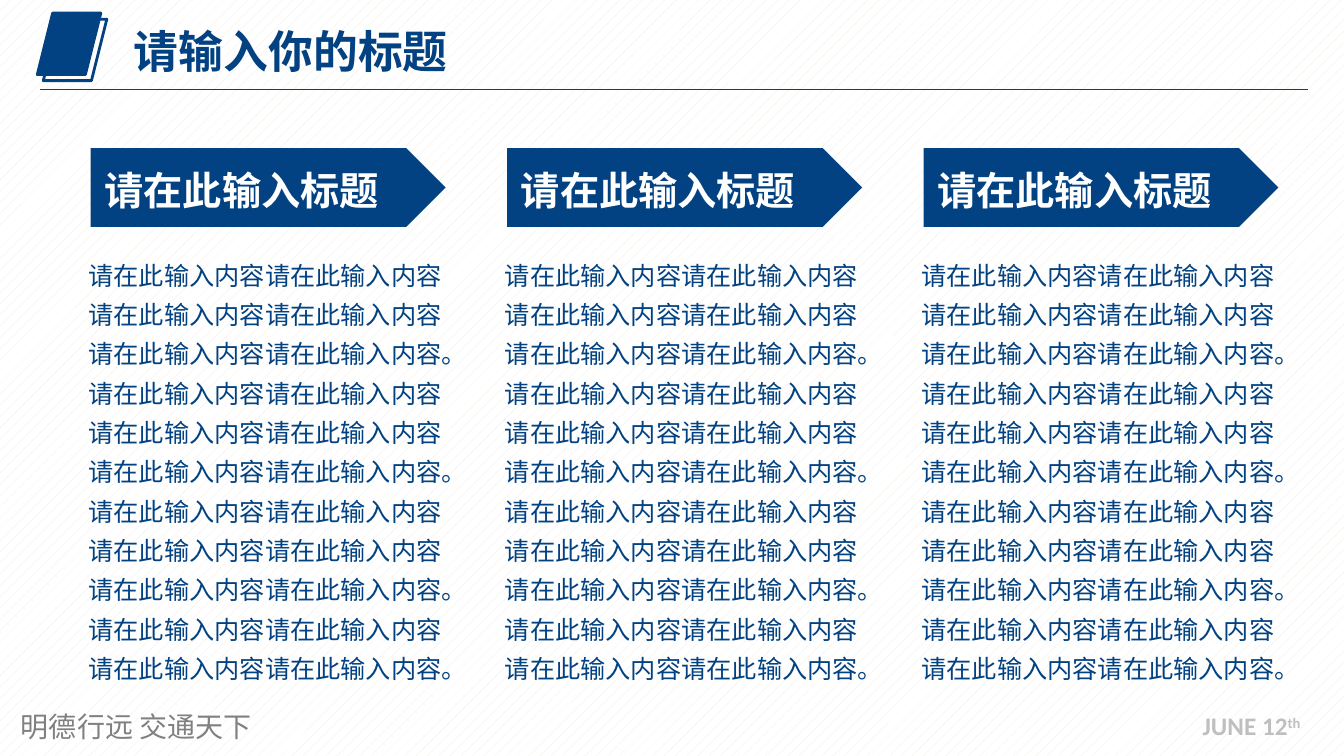
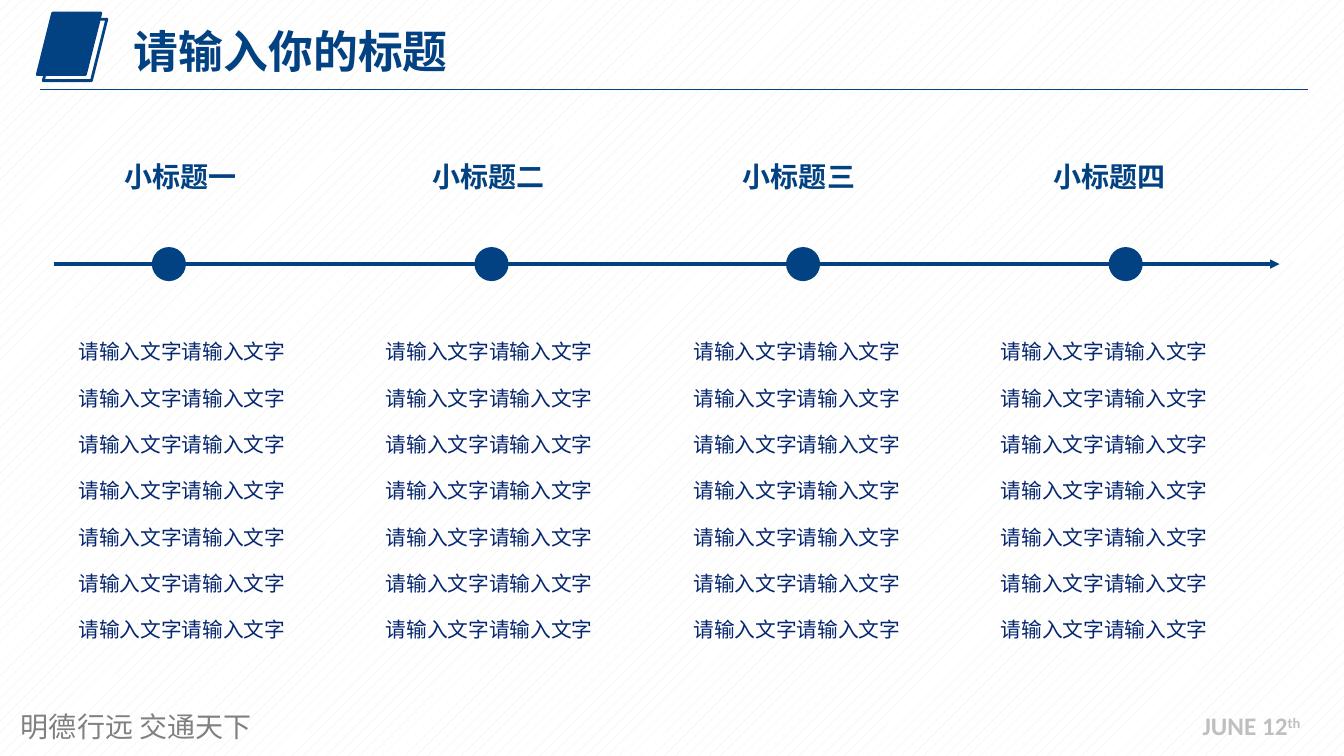
"""Build a two-slide deck: three arrow-headed columns and a four-step timeline."""
import pptx
import pptx.util
import pptx.dml.color
import pptx.enum.dml
import pptx.enum.shapes
import pptx.enum.text
import pptx.oxml
import pptx.oxml.ns

Inches, Pt = pptx.util.Inches, pptx.util.Pt
SHAPE = pptx.enum.shapes.MSO_SHAPE

COLORS = {"navy": "024282", "ink": "06276F", "gray": "808080", "silver": "BFBFBF",
          "white": "FFFFFF", "cream": "EEECE1"}
CJK, CJK_FOOTER, LATIN = "Noto Sans CJK SC", "Noto Sans CJK JP", "Calibri"
LINE_RATIO = 1.2

TITLE = "请输入你的标题"
MOTTO = "明德行远 交通天下"
DATE = ("JUNE 12", "th")
PHRASE = "请在此输入内容"
COLUMN_HEADINGS = ["请在此输入标题"] * 3
COLUMN_BODY = (PHRASE * 6 + "。") * 3 + PHRASE * 4 + "。"
STEPS = [("小标题一", 1.14, 1.52), ("小标题二", 4.19, 4.72),
         ("小标题三", 7.27, 7.81), ("小标题四", 10.35, 11.01)]
STEP_LINES = ["请输入文字请输入文字"] * 7

COLUMN_LEFT, COLUMN_PITCH = 0.78, 4.13
STEP_LEFT, STEP_PITCH = 0.68, 3.05
AXIS_Y, DOT = 2.62, 0.31


def rgb(name):
    return pptx.dml.color.RGBColor.from_string(COLORS[name])


def write(paragraph, text, size, color, bold=False, face=CJK):
    run = paragraph.add_run()
    run.text = text
    run.font.size = Pt(size)
    run.font.bold = bold
    run.font.color.rgb = rgb(color)
    run.font.name = face
    if face != LATIN:
        east_asian = pptx.oxml.parse_xml(
            f'<a:ea {pptx.oxml.ns.nsdecls("a")} typeface="{face}"/>')
        run.font._element.append(east_asian)
    return run


def add_text(slide, box, lines, size, color, spacing=1, gap=0, **style):
    frame = slide.shapes.add_textbox(*map(Inches, box)).text_frame
    frame.word_wrap = True
    for index, line in enumerate(lines):
        paragraph = frame.add_paragraph() if index else frame.paragraphs[0]
        paragraph.line_spacing = Pt(round(size * LINE_RATIO * spacing, 2))
        if index:
            paragraph.space_before = Pt(gap)
        write(paragraph, line, size, color, **style)


def add_figure(slide, kind, box, fill="navy", outline=None):
    figure = slide.shapes.add_shape(kind, *map(Inches, box))
    figure.shadow.inherit = False
    if fill:
        figure.fill.solid()
        figure.fill.fore_color.rgb = rgb(fill)
    else:
        figure.fill.background()
    if outline:
        figure.line.color.rgb = rgb(outline)
        figure.line.width = Pt(2)
    else:
        figure.line.fill.background()
    return figure


def add_rule(slide, left, right, y, width, arrow=False):
    rule = slide.shapes.add_connector(pptx.enum.shapes.MSO_CONNECTOR.STRAIGHT,
                                      *map(Inches, (left, y, right, y)))
    rule.line.color.rgb = rgb("navy")
    rule.line.width = Pt(width)
    namespace = pptx.oxml.ns.nsdecls("a")
    if arrow:
        rule.line._get_or_add_ln().append(
            pptx.oxml.parse_xml(f'<a:tailEnd {namespace} type="triangle"/>'))
    rule._element.spPr.append(pptx.oxml.parse_xml(f"<a:effectLst {namespace}/>"))


def add_framed_slide(deck):
    slide = deck.slides.add_slide(deck.slide_layouts[6])
    backdrop = slide.background.fill
    backdrop.patterned()
    backdrop.pattern = pptx.enum.dml.MSO_PATTERN.PERCENT_10
    backdrop.fore_color.rgb = rgb("cream")
    backdrop.back_color.rgb = rgb("white")

    add_text(slide, (0.11, 6.99, 3.94, 0.44), [MOTTO], 20, "gray", face=CJK_FOOTER)
    for left, top, fill in ((0.37, 0.13, "navy"), (0.43, 0.19, None)):
        add_figure(slide, SHAPE.PARALLELOGRAM, (left, top, 0.63, 0.61), fill, "navy")
    add_rule(slide, 0.4, 12.97, 0.89, 0.75)
    add_text(slide, (1.23, 0.24, 5.51, 0.67), [TITLE], 32, "navy", 0.9, bold=True)

    date = slide.shapes.add_textbox(*map(Inches, (11.83, 7, 1.2, 0.4))).text_frame
    date.word_wrap = False
    day, suffix = [write(date.paragraphs[0], part, 18, "silver", True, LATIN)
                   for part in DATE]
    suffix.font._element.set("baseline", "30000")
    return slide


def build_columns(deck):
    slide = add_framed_slide(deck)
    for index, heading in enumerate(COLUMN_HEADINGS):
        left = COLUMN_LEFT + index * COLUMN_PITCH
        add_text(slide, (left, 2.44, 3.82, 4.39), [COLUMN_BODY], 18, "navy", 1.3)
        banner = add_figure(slide, SHAPE.PENTAGON, (left + 0.12, 1.47, 3.52, 0.78))
        frame = banner.text_frame
        frame.word_wrap = False
        frame.vertical_anchor = pptx.enum.text.MSO_ANCHOR.MIDDLE
        frame.margin_top, frame.margin_right = Inches(0.1), Inches(0.43)
        label = frame.paragraphs[0]
        label.alignment = pptx.enum.text.PP_ALIGN.CENTER
        label.line_spacing = Pt(28 * LINE_RATIO)
        write(label, heading, 28, "white", bold=True)


def build_timeline(deck):
    slide = add_framed_slide(deck)
    add_rule(slide, 0.54, 12.69, AXIS_Y, 2.25, arrow=True)
    for index, (heading, heading_left, dot_left) in enumerate(STEPS):
        add_text(slide, (heading_left, 1.6, 1.37, 0.4), [heading], 20, "navy", 0.8,
                 bold=True)
        add_figure(slide, SHAPE.OVAL, (dot_left, AXIS_Y - DOT / 2, DOT, DOT),
                   outline="navy")
        add_text(slide, (STEP_LEFT + index * STEP_PITCH, 3.24, 2.6, 3.21), STEP_LINES,
                 14.8, "ink", 1.3, 10)


def main():
    deck = pptx.Presentation()
    deck.slide_width, deck.slide_height = Inches(13.33), Inches(7.5)
    build_columns(deck)
    build_timeline(deck)
    deck.save("out.pptx")


if __name__ == "__main__":
    main()
